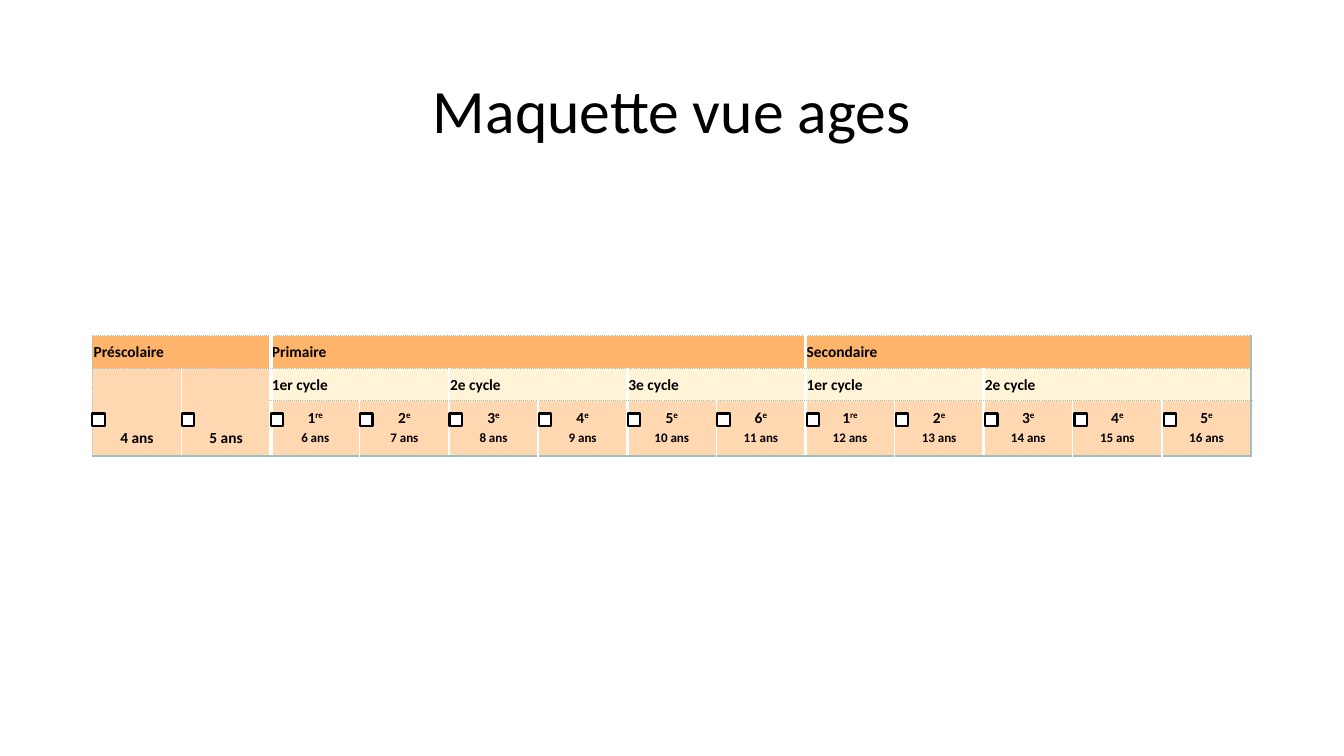
from dataclasses import dataclass
from lxml.etree import SubElement
from pptx import Presentation
from pptx.dml.color import RGBColor as RGB
from pptx.enum.shapes import MSO_SHAPE as SHAPE
from pptx.enum.text import MSO_ANCHOR as ANCHOR, PP_ALIGN as ALIGN
from pptx.oxml.ns import qn
from pptx.util import Cm, Pt


@dataclass(frozen=True)
class Theme:
    font: str = "Calibri"
    black: str = "000000"
    white: str = "FFFFFF"
    teal: str = "A0C0C0"
    level: str = "FFB46C"
    cycle: str = "FFF4D8"
    year: str = "FFD7B0"
    title_pt: int = 44
    label_pt: int = 11
    age_pt: int = 16


T = Theme()
LEFT, TABLE_TOP, WIDTH = 2.33, 8.46, 29.21
COLS = 13
ROW_HEIGHTS = [0.82, 0.82, 1.39]
BOX_TOP, BOX_STEP, BOX_SIZE = 10.42, 2.25, 0.31
EDGE_WIDTHS = {2: 3, 8: 3, 4: 2.25, 6: 2.25, 10: 2.25}


def add_run(p, text, size, bold=True, raised=False):
    r = p.add_run()
    r.text = text
    r.font.name = T.font
    r.font.size = Pt(size)
    r.font.bold = bold
    r.font.color.rgb = RGB.from_string(T.black)
    if raised:
        r.font._element.set("baseline", "30000")


def make_cell(row, col, fill, anchor, rows=1, cols=1, margins=(0.03,) * 4):
    cell = table.cell(row, col)
    if rows * cols > 1:
        cell.merge(table.cell(row + rows - 1, col + cols - 1))
    end, bottom = col + cols, row + rows
    edges = [
        ("L", T.white if col else T.teal, EDGE_WIDTHS.get(col, 1), "dot" if col == 0 else "solid"),
        ("R", T.white if end < COLS else T.teal, EDGE_WIDTHS.get(end, 1), "solid"),
        ("T", T.teal, 1, "dot"),
        ("B", T.teal, 1, "dot" if bottom < len(ROW_HEIGHTS) else "solid"),
    ]
    tcPr = cell._tc.get_or_add_tcPr()
    for side, color, width, dash in edges:
        ln = SubElement(tcPr, qn(f"a:ln{side}"), w=str(Pt(width)))
        SubElement(SubElement(ln, qn("a:solidFill")), qn("a:srgbClr"), val=color)
        SubElement(ln, qn("a:prstDash"), val=dash)
    cell.fill.solid()
    cell.fill.fore_color.rgb = RGB.from_string(fill)
    cell.vertical_anchor = anchor
    cell.margin_left, cell.margin_right, cell.margin_top, cell.margin_bottom = map(Cm, margins)
    return cell.text_frame


prs = Presentation()
prs.slide_width, prs.slide_height = Cm(33.87), Cm(19.05)
s = prs.slides.add_slide(prs.slide_layouts[6])

tf = s.shapes.add_textbox(Cm(LEFT), Cm(1.01), Cm(WIDTH), Cm(3.68)).text_frame
tf.word_wrap = True
tf.vertical_anchor = ANCHOR.MIDDLE
p = tf.paragraphs[0]
p.alignment = ALIGN.CENTER
p.line_spacing = 0.9
add_run(p, "Maquette vue ages", T.title_pt, bold=False)

table = s.shapes.add_table(
    len(ROW_HEIGHTS), COLS, Cm(LEFT), Cm(TABLE_TOP), Cm(WIDTH), Cm(sum(ROW_HEIGHTS))
).table
table.first_row = table.horz_banding = False
for column in table.columns:
    column.width = Cm(WIDTH / COLS)
for table_row, height in zip(table.rows, ROW_HEIGHTS):
    table_row.height = Cm(height)

headings = [
    (0, 0, T.level, [("Préscolaire", 2), ("Primaire", 6), ("Secondaire", 5)]),
    (1, 2, T.cycle, [("1er cycle", 2), ("2e cycle", 2), ("3e cycle", 2), ("1er cycle", 2), ("2e cycle", 3)]),
]
for row, col, fill, labels in headings:
    for label, span in labels:
        p = make_cell(row, col, fill, ANCHOR.MIDDLE, cols=span).paragraphs[0]
        p.line_spacing = 1.07
        p.space_after = Pt(8)
        add_run(p, label, T.label_pt)
        col += span

preschool = [("4 ans", 0.03, 1.07, 7), ("5 ans", 0.38, 1, 12)]
for col, (age, margin, spacing, after) in enumerate(preschool):
    tf = make_cell(1, col, T.year, ANCHOR.BOTTOM, rows=2, margins=(margin, margin, margin, 0.2))
    p = tf.paragraphs[0]
    p.alignment = ALIGN.CENTER
    p.line_spacing = spacing
    p.space_after = Pt(after)
    add_run(p, age, T.label_pt)

for col, year in enumerate([*range(1, 7), *range(1, 6)], start=2):
    tf = make_cell(2, col, T.year, ANCHOR.BOTTOM)
    p = tf.paragraphs[0]
    p.alignment = ALIGN.CENTER
    add_run(p, str(year), T.label_pt)
    add_run(p, "re" if year == 1 else "e", T.label_pt, raised=True)
    p = tf.add_paragraph()
    p.alignment = ALIGN.CENTER
    add_run(p, f"{col + 4} ans", T.age_pt, raised=True)

for col in range(COLS):
    sp = s.shapes.add_shape(
        SHAPE.RECTANGLE, Cm(LEFT + col * BOX_STEP), Cm(BOX_TOP), Cm(BOX_SIZE), Cm(BOX_SIZE)
    )
    sp.shadow.inherit = False
    sp.fill.solid()
    sp.fill.fore_color.rgb = RGB.from_string(T.white)
    sp.line.color.rgb = RGB.from_string(T.black)
    sp.line.width = Pt(1.5)

prs.save("out.pptx")
